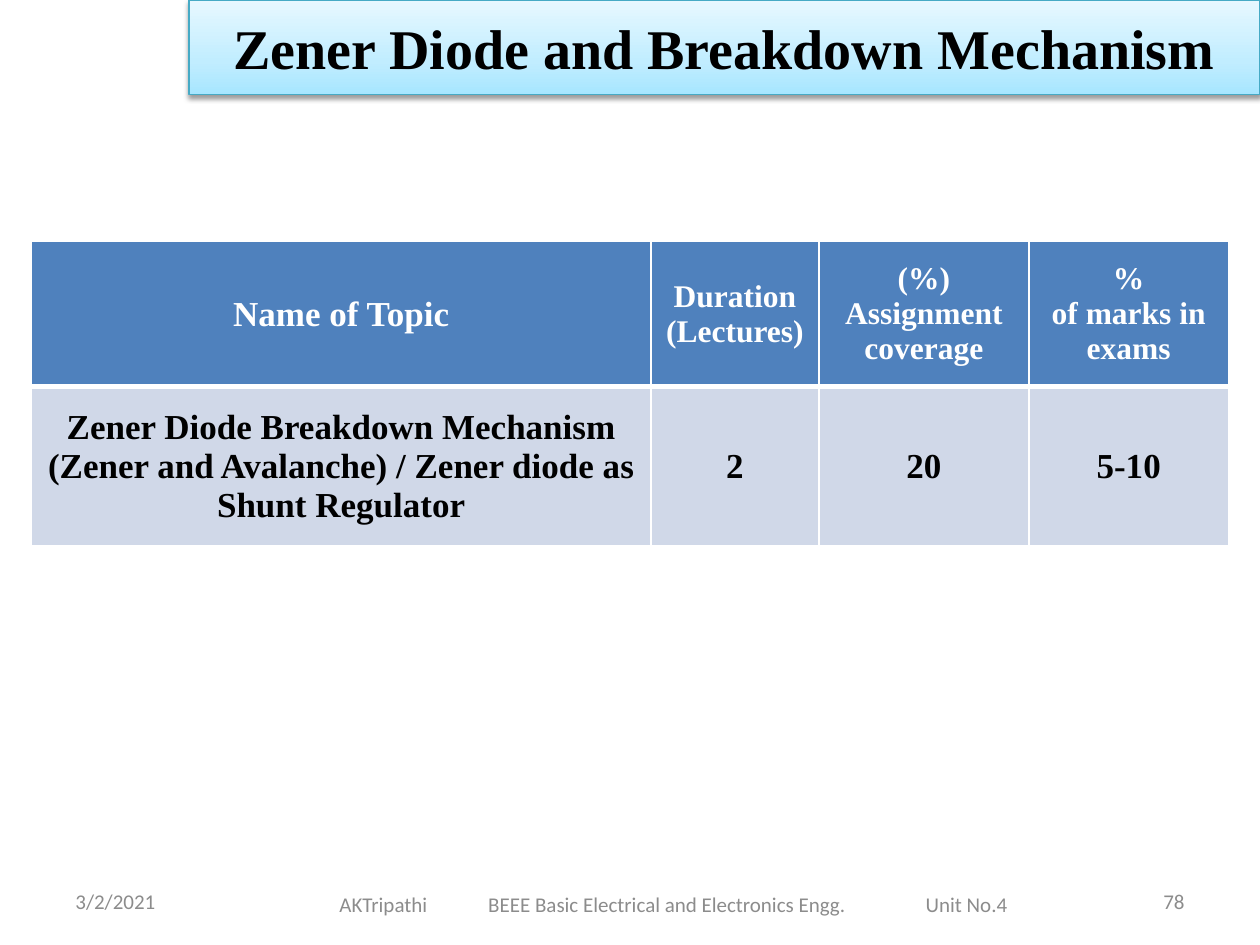
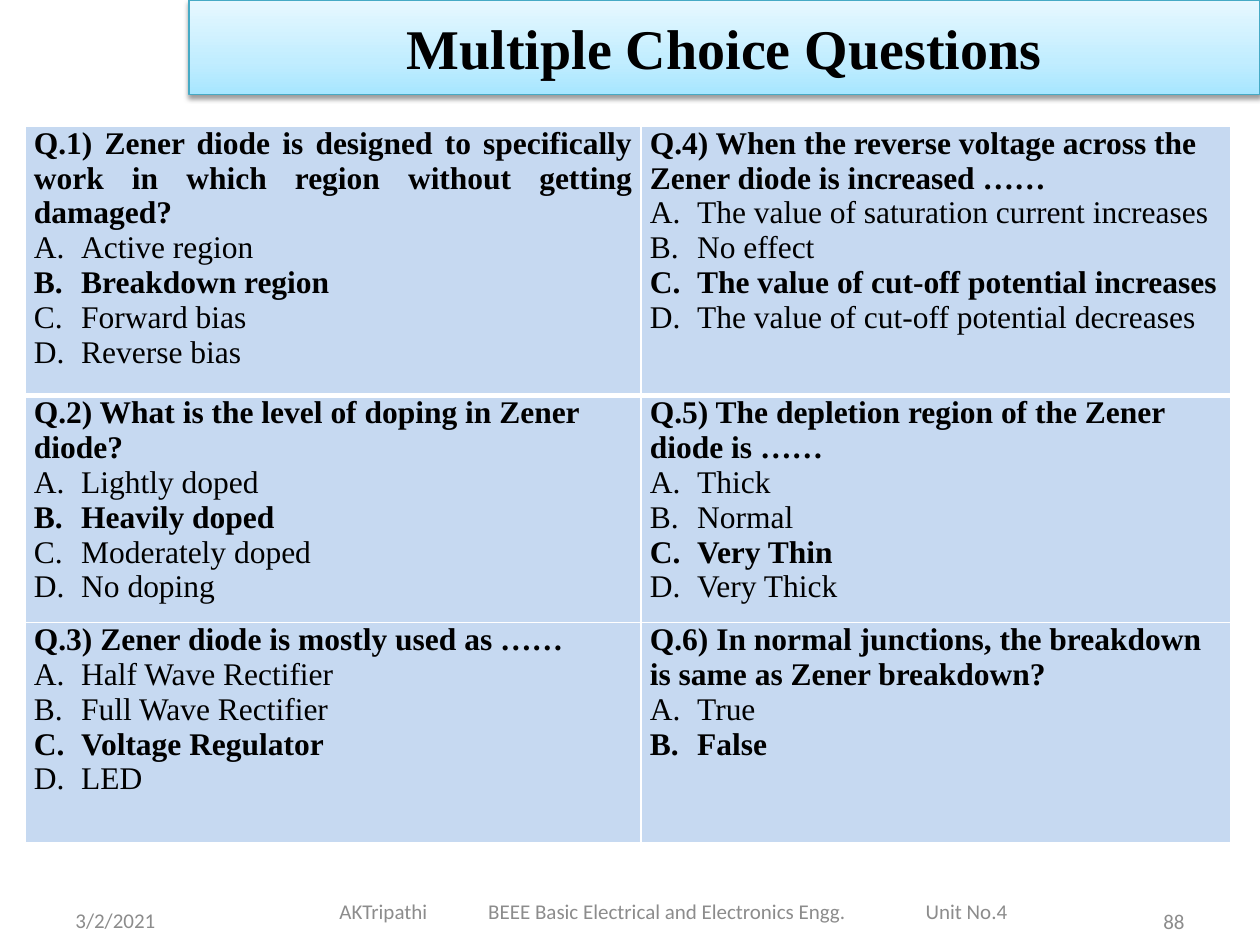
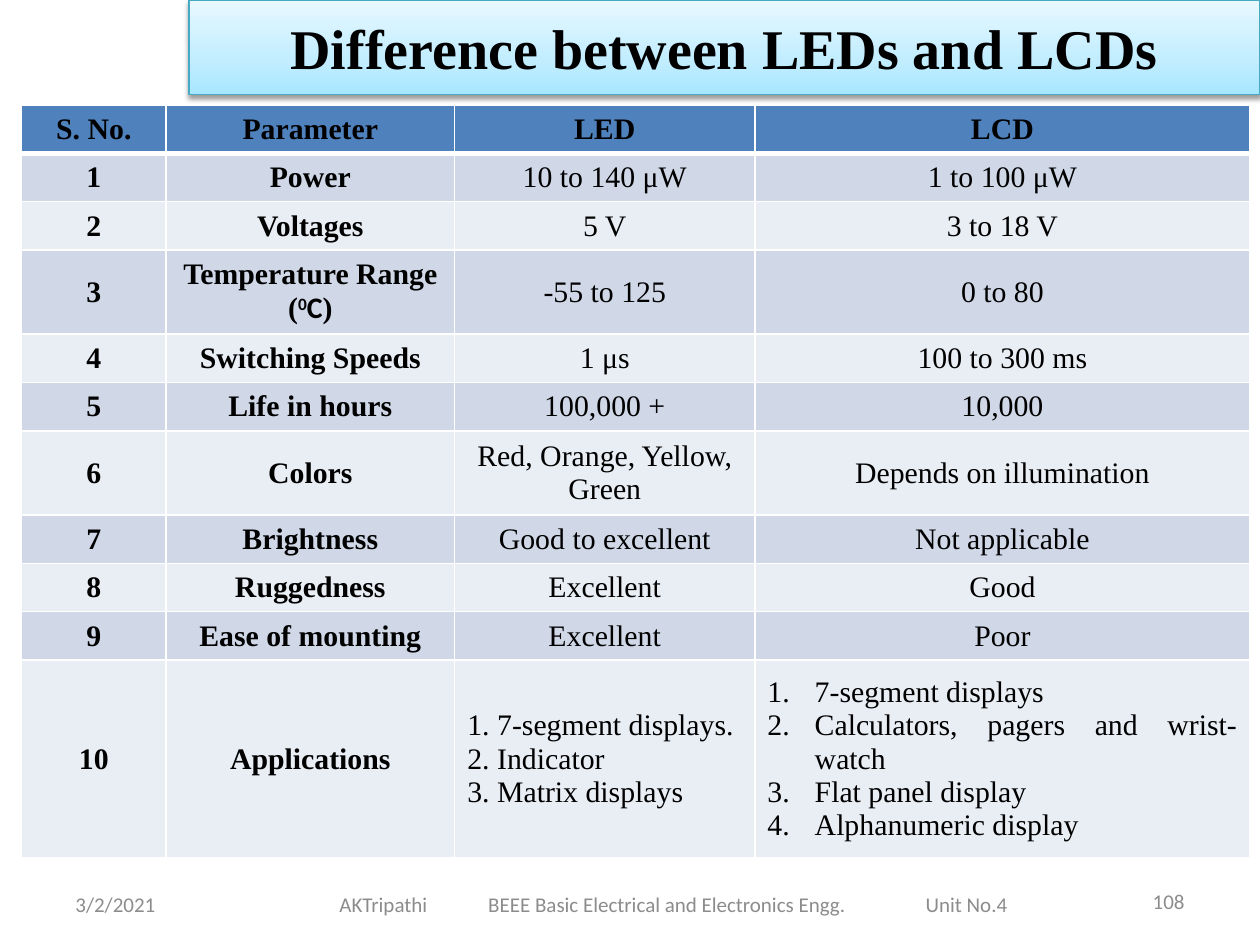
from pptx import Presentation
from pptx.dml.color import RGBColor
from pptx.enum.text import MSO_ANCHOR as Anchor, MSO_AUTO_SIZE as AutoSize, PP_ALIGN as Align
from pptx.oxml import parse_xml
from pptx.oxml.ns import nsdecls
from pptx.util import Pt

COLORS = {
    "black": "000000", "white": "FFFFFF", "footer": "8C8C8C",
    "header": "4F81BD", "band": "D0D8E8", "light band": "E9EDF4", "question": "C6D9F1",
    "title line": "46AAC5", "title low": "A7E6FF", "title mid": "C1EDFF", "title high": "E7F8FF",
}
SERIF, SANS = "Times New Roman", "Calibri"
LIST_INDENT = Pt(27)
NS = nsdecls("a")


def write(frame, text, size=18, color="black", font=SERIF, bold=False, align=Align.LEFT,
          numbering=None, tabs=(), para=None, baseline=0):
    """Add one paragraph per line of text, or a span to para if it is given."""
    for line in text.split("\n"):
        if para is None:
            first = frame.paragraphs[0]
            target = first if not first.runs else frame.add_paragraph()
            target.alignment = align
            properties = target._p.get_or_add_pPr()
            if numbering:
                properties.set("marL", str(LIST_INDENT))
                properties.set("indent", str(-LIST_INDENT))
                properties.append(parse_xml(f'<a:buAutoNum {NS} type="{numbering}"/>'))
            if tabs:
                stops = "".join(f'<a:tab pos="{Pt(stop)}" algn="l"/>' for stop in tabs)
                properties.append(parse_xml(f"<a:tabLst {NS}>{stops}</a:tabLst>"))
        else:
            target = para
        span = target.add_run()
        span.text = line
        span.font.name, span.font.size, span.font.bold = font, Pt(size), bold
        span.font.color.rgb = RGBColor.from_string(COLORS[color])
        if baseline:
            span._r.get_or_add_rPr().set("baseline", str(baseline * 1000))
    return target


def add_grid(page, left, top, widths, heights, fills, anchor=Anchor.MIDDLE):
    """Add a table with one fill per row, white rules and a thick rule under the first row."""
    grid = page.shapes.add_table(len(heights), len(widths), Pt(left), Pt(top),
                                 Pt(sum(widths)), Pt(sum(heights))).table
    grid.horz_banding = False
    for column, width in zip(grid.columns, widths):
        column.width = Pt(width)
    for index, (row, height, fill) in enumerate(zip(grid.rows, heights, fills)):
        row.height = Pt(height)
        for cell in row.cells:
            cell.vertical_anchor = anchor
            for side in "LRTB":
                weight = Pt(3 if index == 0 and side == "B" else 1)
                cell._tc.get_or_add_tcPr().append(parse_xml(
                    f'<a:ln{side} {NS} w="{weight}"><a:solidFill>'
                    f'<a:srgbClr val="{COLORS["white"]}"/></a:solidFill></a:ln{side}>'))
            cell.fill.solid()
            cell.fill.fore_color.rgb = RGBColor.from_string(COLORS[fill])
    return grid


deck = Presentation()
deck.slide_width, deck.slide_height = Pt(720), Pt(540)

# Title band and footers: title, page number, then tops of date, footer and number
PAGES = [
    ("Zener Diode and Breakdown Mechanism", "78", 500.4, 502, 500.4),
    ("Multiple Choice Questions", "88", 511.2, 506, 512),
    ("Difference between LEDs and LCDs", "108", 502, 502, 500.4),
]
FOOTER = "AKTripathi\tBEEE Basic Electrical and Electronics Engg.\tUnit No.4"
pages = []
for heading, number, date_top, footer_top, number_top in PAGES:
    page = deck.slides.add_slide(deck.slide_layouts[5])
    pages.append(page)
    title = page.shapes.title
    title.left, title.top, title.width, title.height = Pt(108), Pt(0), Pt(612), Pt(54)
    title.text_frame.auto_size = AutoSize.NONE
    title.text_frame.vertical_anchor = Anchor.MIDDLE
    write(title.text_frame, heading, size=32, bold=True, align=Align.CENTER)
    stops = "".join(
        f'<a:gs pos="{position * 1000}"><a:srgbClr val="{COLORS[color]}"/></a:gs>'
        for position, color in [(0, "title low"), (35, "title mid"), (100, "title high")])
    band = title._element.spPr
    band.append(parse_xml(f'<a:gradFill {NS} rotWithShape="1"><a:gsLst>{stops}</a:gsLst>'
                          '<a:lin ang="16200000" scaled="0"/></a:gradFill>'))
    title.line.color.rgb = RGBColor.from_string(COLORS["title line"])
    title.line.width = Pt(0.75)
    band.append(parse_xml(
        f'<a:effectLst {NS}><a:outerShdw blurRad="{Pt(3.1)}" dist="{Pt(1.6)}" dir="5400000" '
        f'rotWithShape="0"><a:srgbClr val="{COLORS["black"]}"><a:alpha val="38000"/>'
        '</a:srgbClr></a:outerShdw></a:effectLst>'))

    for text, left, top, width, inset, align, tabs in [
        ("3/2/2021", 36, date_top, 168, 7.2, Align.LEFT, ()),
        (FOOTER, 180, footer_top, 410, 14, Align.LEFT, (85, 335)),
        (number, 516, number_top, 168, 7.2, Align.RIGHT, ()),
    ]:
        box = page.shapes.add_textbox(Pt(left), Pt(top), Pt(width), Pt(28.8))
        box.text_frame.word_wrap = True
        box.text_frame.margin_left = Pt(inset)
        box.text_frame.vertical_anchor = Anchor.MIDDLE
        write(box.text_frame, text, size=12, color="footer", font=SANS, align=align, tabs=tabs)

topic_page, question_page, comparison_page = pages

# Topic overview
TOPIC_ROWS = [
    ["Name of Topic", "Duration\n(Lectures)", "(%)\nAssignment coverage", "%\nof marks in exams"],
    ["Zener Diode Breakdown Mechanism (Zener and Avalanche) / Zener diode as Shunt Regulator",
     "2", "20", "5-10"],
]
topics = add_grid(topic_page, 18, 138, [354, 96, 120, 114], [83, 91], ["header", "band"])
for row, texts in enumerate(TOPIC_ROWS):
    for column, text in enumerate(texts):
        write(topics.cell(row, column).text_frame, text, bold=True, align=Align.CENTER,
              size=18 if row == 0 and column > 0 else 20,
              color="white" if row == 0 else "black")

# Questions, each with its options and the letter of the right one
QUESTIONS = [
    ("Q.1) Zener diode is designed to specifically work in which region without getting damaged?",
     ["Active region", "Breakdown region", "Forward bias", "Reverse bias"], "B"),
    ("Q.2) What is the level of doping in Zener diode?",
     ["Lightly doped", "Heavily doped", "Moderately doped", "No doping"], "B"),
    ("Q.3) Zener diode is mostly used as ……",
     ["Half Wave Rectifier", "Full Wave Rectifier", "Voltage Regulator", "LED"], "C"),
    ("Q.4) When the reverse voltage across the Zener diode is increased ……",
     ["The value of saturation current increases", "No effect",
      "The value of cut-off potential increases",
      "The value of cut-off potential decreases"], "C"),
    ("Q.5) The depletion region of the Zener diode is ……",
     ["Thick", "Normal", "Very Thin", "Very Thick"], "C"),
    ("Q.6) In normal junctions, the breakdown is same as Zener breakdown?",
     ["True", "False"], "B"),
]
quiz = add_grid(question_page, 14.4, 72, [352, 337], [154, 129, 126], ["question"] * 3, Anchor.TOP)
for index, (question, options, answer) in enumerate(QUESTIONS):
    column, row = divmod(index, 3)
    cell = quiz.cell(row, column)
    cell.margin_left = cell.margin_right = Pt(5)
    cell.margin_top = cell.margin_bottom = Pt(0)
    write(cell.text_frame, question, bold=True, align=Align.JUSTIFY if index == 0 else Align.LEFT)
    for letter, option in zip("ABCD", options):
        write(cell.text_frame, option, bold=letter == answer, numbering="alphaUcPeriod")

# LED and LCD comparison
COMPARISON = [
    ("S. No.", "Parameter", "LED", "LCD"),
    ("1", "Power", "10 to 140 μW", "1 to 100 μW"),
    ("2", "Voltages", "5 V", "3 to 18 V"),
    ("3", "Temperature Range (", "-55 to 125", "0 to 80"),
    ("4", "Switching Speeds", "1 μs", "100 to 300 ms"),
    ("5", "Life in hours", "100,000 +", "10,000"),
    ("6", "Colors", "Red, Orange, Yellow, Green", "Depends on illumination"),
    ("7", "Brightness", "Good to excellent", "Not applicable"),
    ("8", "Ruggedness", "Excellent", "Good"),
    ("9", "Ease of mounting", "Excellent", "Poor"),
    ("10", "Applications", "1. 7-segment displays.\n2. Indicator\n3. Matrix displays",
     "7-segment displays\nCalculators, pagers and wrist-watch\n"
     "Flat panel display\nAlphanumeric display"),
]
TALL_ROWS = {3: 46.5, 6: 47.5, 10: 113}
heights = [TALL_ROWS.get(row, 27.4) for row in range(len(COMPARISON))]
fills = ["header"] + ["band", "light band"] * 5
comparison = add_grid(comparison_page, 12.4, 60, [82.5, 165, 171.5, 283], heights, fills)
for row, texts in enumerate(COMPARISON):
    for column, text in enumerate(texts):
        frame = comparison.cell(row, column).text_frame
        is_list = "\n" in text
        para = write(frame, text, size=17, bold=row == 0 or column < 2,
                     align=Align.JUSTIFY if is_list else Align.CENTER,
                     numbering="arabicPeriod" if is_list and column == 3 else None)
        if text.endswith("("):
            write(frame, "0", size=17, bold=True, font=SANS, para=para, baseline=30)
            write(frame, "C", size=17, bold=True, font=SANS, para=para)
            write(frame, ")", size=17, bold=True, para=para)

deck.save("out.pptx")
